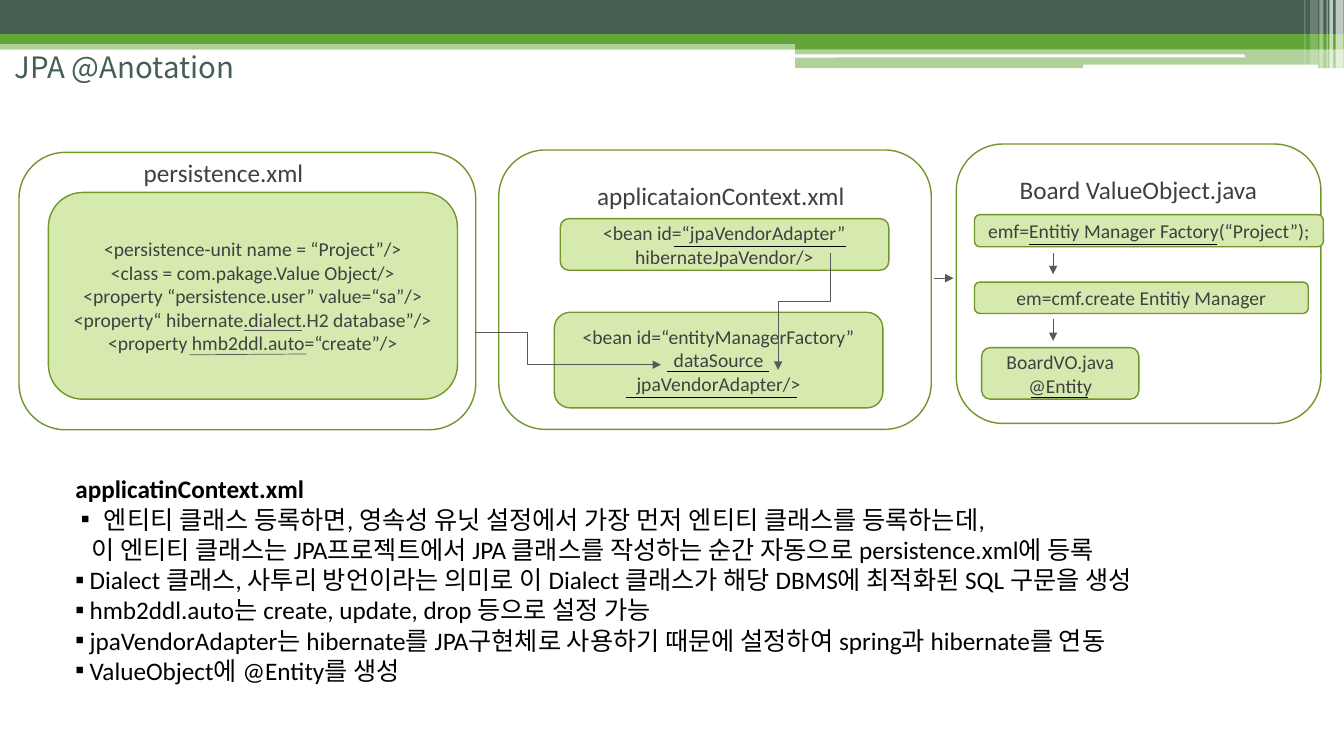
from dataclasses import dataclass

from lxml.etree import SubElement
from pptx import Presentation
from pptx.dml.color import RGBColor
from pptx.enum.shapes import MSO_CONNECTOR as CONN, MSO_SHAPE as SHAPE
from pptx.enum.text import MSO_ANCHOR as ANCHOR, MSO_AUTO_SIZE as AUTO, PP_ALIGN as ALIGN
from pptx.oxml.ns import qn
from pptx.util import Cm, Pt


@dataclass(frozen=True)
class Theme:
    dark: str = "455F51"
    green: str = "63A537"
    white: str = "FFFFFF"
    box: str = "D6EAAF"
    edge: str = "719629"
    text: str = "404040"
    arrow: str = "595959"
    black: str = "000000"
    font: str = "Calibri"
    title_font: str = "Noto Sans CJK KR"
    title_size: float = 21
    body_size: float = 18
    code_size: float = 14
    body_leading: float = 21.6


T = Theme()

# Content; all places are in centimetres: left, top, width, height
TITLE = "JPA @Anotation"

# Header bands: place, colour, opacity in percent
BANDS = [
    ((0, 1.02, 33.87, 0.23), T.green, 50),
    ((0, 0, 33.87, 0.86), T.dark, 100),
    ((0, 0.86, 33.87, 0.25), T.green, 100),
    ((20.04, 0.99, 13.83, 0.25), T.green, 100),
    ((20.04, 1.22, 13.83, 0.5), T.green, 50),
]
SLITS = [(20.02, 1.37, 11.35, 0.08), (27.3, 1.63, 5.92, 0.1)]
# White stripes at the right edge: left, width, height, opacity
STRIPES = [
    (33.66, 0.2, 1.73, 65), (33.5, 0.1, 1.73, 65), (33.43, 0.03, 1.73, 60),
    (33.25, 0.1, 1.73, 40), (33.02, 0.2, 1.63, 20), (32.87, 0.03, 1.63, 30),
]

# Each file: frame, label place, label, inner boxes
FILES = [
    ((0.48, 3.84, 11.51, 6.99), (3.35, 3.84, 4.57, 0.89), "persistence.xml", [
        ((1.22, 4.85, 10.31, 5.21), [
            "<persistence-unit name = “Project”/>",
            "<class = com.pakage.Value Object/>",
            "<property “persistence.user” value=“sa”/>",
            "<property“ hibernate.dialect.H2 database”/>",
            "<property hmb2ddl.auto=“create”/>"]),
    ]),
    ((12.57, 3.78, 10.9, 7.04), (14.76, 4.42, 6.81, 1.02), "applicataionContext.xml", [
        ((13.97, 7.87, 8.28, 2.41), [
            "<bean id=“entityManagerFactory”", "dataSource", "jpaVendorAdapter/>"]),
        ((14.12, 5.51, 8.28, 1.3), [
            "<bean id=“jpaVendorAdapter”", "hibernateJpaVendor/>"]),
    ]),
    ((24.1, 3.63, 9.19, 7.04), (25.35, 4.27, 6.68, 1.02), "Board ValueObject.java", [
        ((24.56, 5.41, 8.79, 0.81), ["emf=Entitiy Manager Factory(“Project”);"]),
        ((24.56, 7.11, 8.41, 0.79), ["em=cmf.create Entitiy Manager"]),
        ((24.74, 8.76, 3.96, 1.3), ["BoardVO.java", "@Entity"]),
    ]),
]

# Lines: x1, y1, x2, y2
UNDERLINES = [
    (16.81, 9.37, 19.38, 9.37), (25.93, 6.15, 30.66, 6.15), (15.77, 10.01, 20.09, 10.01),
    (16.99, 6.22, 21.31, 6.22), (25.98, 10.01, 27.43, 10.01),
]
GREY_UNDERLINES = [(6.15, 8.33, 7.62, 8.33), (4.78, 8.94, 7.72, 8.92)]
ARROWS = [
    (23.55, 7.01, 24.03, 7.01), (26.54, 6.38, 26.54, 6.91), (26.54, 8.05, 26.54, 8.59),
]
FILE_ELBOW = (11.96, 8.38, 16.66, 9.19), 28400
ADAPTER_ELBOW = (20.93, 6.38, 19.61, 9.32), 41000

# Notes: text, left margin, bullet position (None for no bullet)
NOTES_AT = (1.65, 11.81, 30.81, 5.64)
NOTES = [
    ("applicatinContext.xml", 0, None),
    ("엔티티 클래스 등록하면, 영속성 유닛 설정에서 가장 먼저 엔티티 클래스를 등록하는데,", 0.72, 0.14),
    ("이 엔티티 클래스는 JPA프로젝트에서 JPA 클래스를 작성하는 순간 자동으로 persistence.xml에 등록", 0.4, None),
    ("Dialect 클래스, 사투리 방언이라는 의미로 이 Dialect 클래스가 해당 DBMS에 최적화된 SQL 구문을 생성", 0.36, 0),
    ("hmb2ddl.auto는 create, update, drop 등으로 설정 가능", 0.36, 0),
    ("jpaVendorAdapter는 hibernate를 JPA구현체로 사용하기 때문에 설정하여 spring과 hibernate를 연동", 0.36, 0),
    ("ValueObject에 @Entity를 생성", 0.36, 0),
]

prs = Presentation()
prs.slide_width, prs.slide_height = Cm(33.87), Cm(19.05)
s = prs.slides.add_slide(prs.slide_layouts[5])


def cm(values):
    return [Cm(v) for v in values]


def rgb(color):
    return RGBColor.from_string(color)


def add_box(at, fill=None, line=None, kind=SHAPE.RECTANGLE, opacity=100):
    sp = s.shapes.add_shape(kind, *cm(at))
    sp.shadow.inherit = False
    if fill:
        sp.fill.solid()
        sp.fill.fore_color.rgb = rgb(fill)
        if opacity < 100:
            clr = sp.fill._xPr.find(f".//{qn('a:srgbClr')}")
            SubElement(clr, qn("a:alpha"), val=str(opacity * 1000))
    else:
        sp.fill.background()
    if line:
        sp.line.color.rgb = rgb(line)
        sp.line.width = Pt(1)
    else:
        sp.line.fill.background()
    return sp


def set_text(tf, lines, size, color, font=T.font, align=ALIGN.CENTER, anchor=ANCHOR.TOP):
    tf.text = "\n".join(lines)
    tf.vertical_anchor = anchor
    for p in tf.paragraphs:
        p.alignment = align
        for r in p.runs:
            r.font.size, r.font.name = Pt(size), font
            r.font.color.rgb = rgb(color)
            SubElement(r.font._element, qn("a:ea"), typeface=font)


def add_line(points, color=T.arrow, head=False, kind=CONN.STRAIGHT, bend=None):
    c = s.shapes.add_connector(kind, *cm(points))
    c.line.color.rgb = rgb(color)
    c.line.width = Pt(0.5)
    sp_pr = c._element.spPr
    if head:
        SubElement(c.line._get_or_add_ln(), qn("a:tailEnd"), type="triangle")
    SubElement(sp_pr, qn("a:effectLst"))
    if bend:
        guides = sp_pr.find(f".//{qn('a:avLst')}")
        SubElement(guides, qn("a:gd"), name="adj1", fmla=f"val {bend}")
    return c


# Title
title = s.shapes.title
title.left, title.top, title.width, title.height = cm((0, 1.24, 6.71, 1.4))
tf = title.text_frame
set_text(tf, [TITLE], T.title_size, T.dark, T.title_font, ALIGN.LEFT)
tf.auto_size, tf.word_wrap = AUTO.NONE, False
tf.margin_left, tf.margin_top = Cm(0.37), 0

# Header
for at, color, opacity in BANDS:
    add_box(at, color, opacity=opacity)
for at in SLITS:
    add_box(at, T.white, kind=SHAPE.ROUNDED_RECTANGLE)
for left, width, height, opacity in STRIPES:
    add_box((left, 0, width, height), T.white, opacity=opacity)

# Files with their code boxes
for frame, label_at, label, boxes in FILES:
    add_box(frame, line=T.edge, kind=SHAPE.ROUNDED_RECTANGLE)
    tf = s.shapes.add_textbox(*cm(label_at)).text_frame
    set_text(tf, [label], T.body_size, T.text)
    tf.word_wrap = False
    for at, code in boxes:
        tf = add_box(at, T.box, T.edge, SHAPE.ROUNDED_RECTANGLE).text_frame
        set_text(tf, code, T.code_size, T.text, anchor=ANCHOR.MIDDLE)
        tf.word_wrap = False

# Underlines and arrows
for points in UNDERLINES:
    add_line(points, T.black)
for points in GREY_UNDERLINES:
    add_line(points)
for points in ARROWS:
    add_line(points, head=True)
points, bend = FILE_ELBOW
add_line(points, head=True, kind=CONN.ELBOW, bend=bend)

# The downward elbow is a level one turned a quarter about its centre
(x1, y1, x2, y2), bend = ADAPTER_ELBOW
mid_x, mid_y = (x1 + x2) / 2, (y1 + y2) / 2
half_w, half_h = (y2 - y1) / 2, (x1 - x2) / 2
c = add_line((mid_x - half_w, mid_y - half_h, mid_x + half_w, mid_y + half_h),
             head=True, kind=CONN.ELBOW, bend=bend)
c._element.spPr.find(qn("a:xfrm")).set("rot", "5400000")

# Notes
tf = s.shapes.add_textbox(*cm(NOTES_AT)).text_frame
set_text(tf, [note for note, _, _ in NOTES], T.body_size, T.black, align=ALIGN.LEFT)
tf.word_wrap = True
tf.paragraphs[0].runs[0].font.bold = True
for p, (_, margin, bullet) in zip(tf.paragraphs, NOTES):
    p.line_spacing = Pt(T.body_leading)
    p_pr = p._p.get_or_add_pPr()
    p_pr.set("marL", str(Cm(margin)))
    if bullet is not None:
        p_pr.set("indent", str(Cm(bullet) - Cm(margin)))
        SubElement(p_pr, qn("a:buFont"), typeface=T.font)
        SubElement(p_pr, qn("a:buChar"), char="▪")

prs.save("out.pptx")
